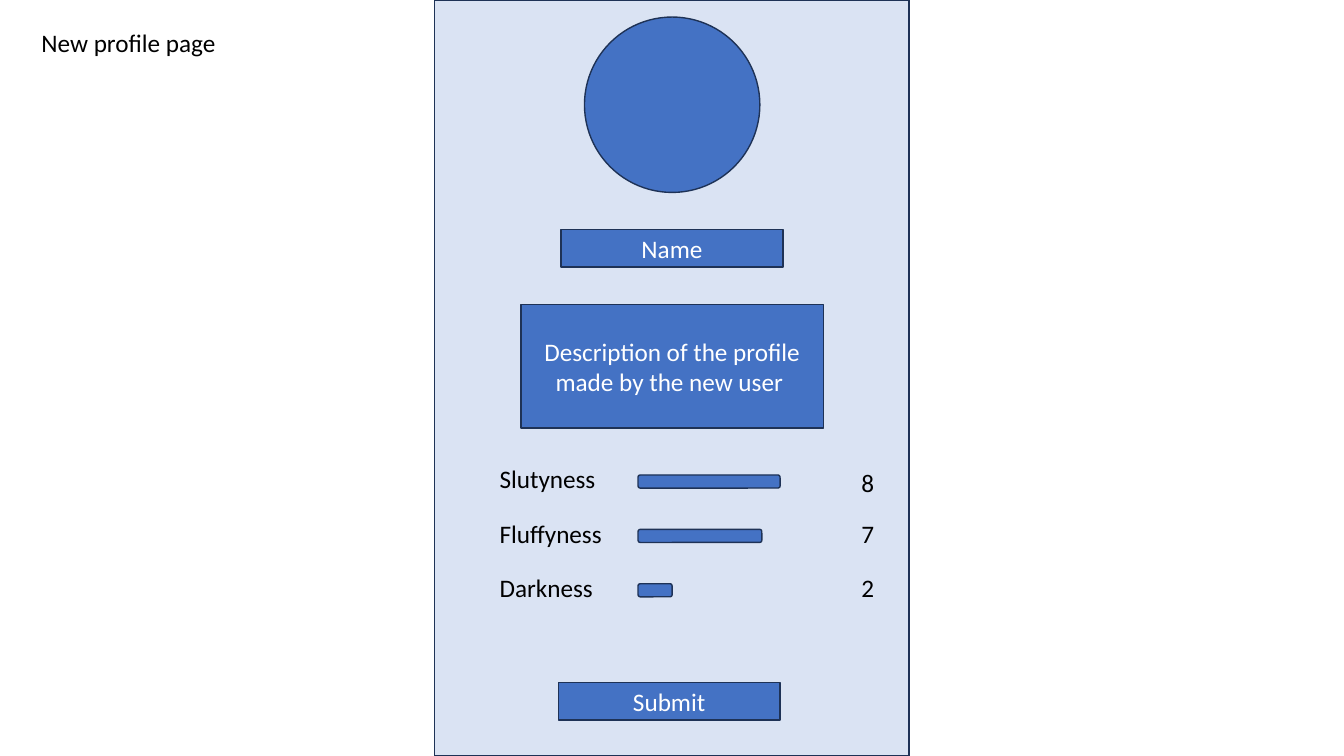
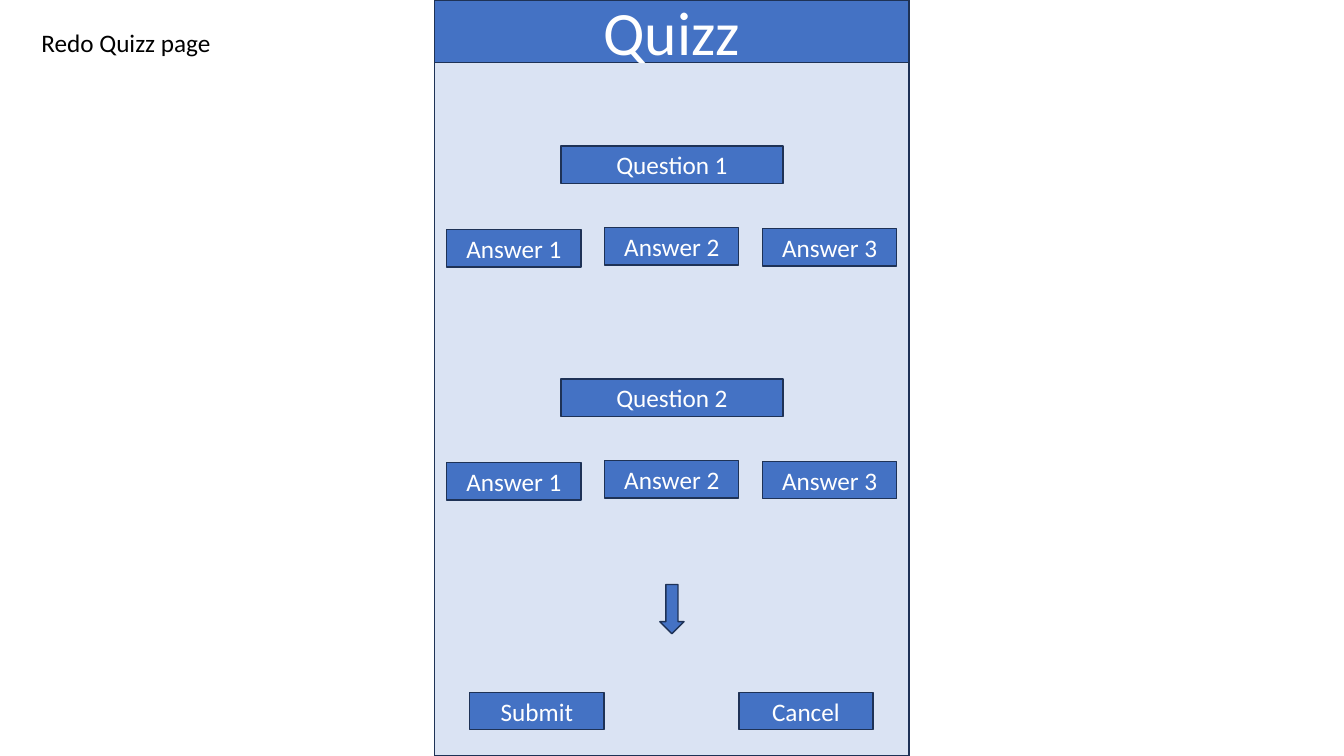
"""Build two app wireframes: the new profile page and the quiz page."""
from dataclasses import dataclass
from typing import Any

from pptx import Presentation
from pptx import util as u
from pptx.dml.color import RGBColor
from pptx.enum import shapes, text


@dataclass(frozen=True)
class Theme:
    font: str = "Calibri"
    body: int = 18
    heading: int = 44
    panel: str = "DAE3F3"
    accent: str = "4472C4"
    outline: str = "1E3256"
    dark: str = "000000"
    light: str = "FFFFFF"


@dataclass(frozen=True)
class Box:
    left: float
    top: float
    width: float
    height: float

    def lengths(self) -> tuple[u.Length, ...]:
        return tuple(u.Cm(v) for v in (self.left, self.top, self.width, self.height))


@dataclass(frozen=True)
class Trait:
    name: str
    score: str
    bar_width: float
    score_drop: float = 0


THEME = Theme()
SHAPE = shapes.MSO_SHAPE
ALIGN = text.PP_ALIGN
ANCHOR = text.MSO_ANCHOR
SLIDE_W, SLIDE_H = 33.87, 19.05
PANEL = Box(10.95, 0, 11.96, SLIDE_H)
TITLE_ONLY = 5
BUTTON_H = 0.94
WIDE, NARROW = 5.59, 3.38
TRAITS = (
    Trait("Slutyness", "8", 3.58, 0.1),
    Trait("Fluffyness", "7", 3.12),
    Trait("Darkness", "2", 0.86),
)
TRAIT_TOP, TRAIT_PITCH = 11.56, 1.37
QUESTION_TOP, QUESTION_PITCH = 3.68, 5.87
ANSWER_LEFT, ANSWER_PITCH = 11.26, 3.98
ANSWER_DROPS = (2.11, 2.06, 2.08)


def set_attrs(target: Any, values: dict[str, Any]) -> None:
    """Set each named attribute on the target."""
    for name, value in values.items():
        setattr(target, name, value)


def write(sp: Any, words: str, color: str, size: int, align: Any,
          frame: dict[str, Any]) -> None:
    """Write one formatted paragraph into a shape."""
    tf = sp.text_frame
    set_attrs(tf, frame)
    p = tf.paragraphs[0]
    p.alignment = align
    r = p.add_run()
    r.text = words
    set_attrs(r.font, {"name": THEME.font, "size": u.Pt(size)})
    r.font.color.rgb = RGBColor.from_string(color)


def add_block(parent: Any, box: Box, words: str = "", kind: Any = SHAPE.RECTANGLE,
              fill: str = THEME.accent, size: int = THEME.body) -> None:
    """Add an outlined shape with optional centred text."""
    sp = parent.add_shape(kind, *box.lengths())
    sp.shadow.inherit = False
    sp.fill.solid()
    sp.fill.fore_color.rgb = RGBColor.from_string(fill)
    sp.line.color.rgb = RGBColor.from_string(THEME.outline)
    sp.line.width = u.Pt(1)
    if words:
        write(sp, words, THEME.light, size, ALIGN.CENTER,
              {"word_wrap": True, "vertical_anchor": ANCHOR.MIDDLE})


def add_label(parent: Any, box: Box, words: str) -> None:
    """Add a plain left-aligned text box."""
    write(parent.add_textbox(*box.lengths()), words, THEME.dark, THEME.body,
          ALIGN.LEFT, {"word_wrap": True})


def add_page(prs: Any, title: str, title_width: float) -> Any:
    """Add a titled slide with the phone panel and return its shapes."""
    s = prs.slides.add_slide(prs.slide_layouts[TITLE_ONLY])
    sp = s.shapes.title
    box = Box(0.79, 0.56, title_width, 1.02)
    set_attrs(sp, dict(zip(("left", "top", "width", "height"), box.lengths())))
    write(sp, title, THEME.dark, THEME.body, ALIGN.LEFT,
          {"word_wrap": False, "vertical_anchor": ANCHOR.TOP,
           "auto_size": text.MSO_AUTO_SIZE.SHAPE_TO_FIT_TEXT})
    add_block(s.shapes, PANEL, fill=THEME.panel)
    return s.shapes


def add_trait(parent: Any, trait: Trait, top: float) -> None:
    """Add one row with a trait name, its bar and its score."""
    add_label(parent, Box(12.34, top, 3.12, 1.02), trait.name)
    add_block(parent, Box(16.08, top + 0.41, trait.bar_width, 0.33),
              kind=SHAPE.ROUNDED_RECTANGLE)
    add_label(parent, Box(21.46, top + trait.score_drop, 0.94, 1.02), trait.score)


def add_question(parent: Any, number: int, top: float) -> None:
    """Add one question with its row of answers."""
    add_block(parent, Box(14.14, top, WIDE, BUTTON_H), f"Question {number}")
    for i, drop in enumerate(ANSWER_DROPS):
        box = Box(ANSWER_LEFT + i * ANSWER_PITCH, top + drop, NARROW, BUTTON_H)
        add_block(parent, box, f"Answer {i + 1}")


def build_profile(prs: Any) -> None:
    """Build the new profile page."""
    page = add_page(prs, "New profile page", 4.95)
    add_block(page, Box(14.73, 0.43, 4.42, 4.42), kind=SHAPE.FLOWCHART_CONNECTOR)
    add_block(page, Box(14.14, 5.79, WIDE, BUTTON_H), "Name")
    add_block(page, Box(13.13, 7.67, 7.62, 3.12),
              "Description of the profile made by the new user ")
    traits = page.add_group_shape().shapes
    for i, trait in enumerate(TRAITS):
        add_trait(traits, trait, TRAIT_TOP + i * TRAIT_PITCH)
    add_block(page, Box(14.07, 17.2, WIDE, BUTTON_H), "Submit")


def build_quiz(prs: Any) -> None:
    """Build the quiz page."""
    page = add_page(prs, "Redo Quizz page", 4.83)
    add_block(page, Box(PANEL.left, 0, PANEL.width, 1.57), "Quizz", size=THEME.heading)
    for i in range(2):
        add_question(page, i + 1, QUESTION_TOP + i * QUESTION_PITCH)
    add_block(page, Box(16.63, 14.73, 0.61, 1.24), kind=SHAPE.DOWN_ARROW)
    for words, left in (("Submit", 11.84), ("Cancel", 18.62)):
        add_block(page, Box(left, 17.45, NARROW, BUTTON_H), words)


def main() -> None:
    """Build and save the presentation."""
    prs = Presentation()
    set_attrs(prs, {"slide_width": u.Cm(SLIDE_W), "slide_height": u.Cm(SLIDE_H)})
    build_profile(prs)
    build_quiz(prs)
    prs.save("out.pptx")


if __name__ == "__main__":
    main()
